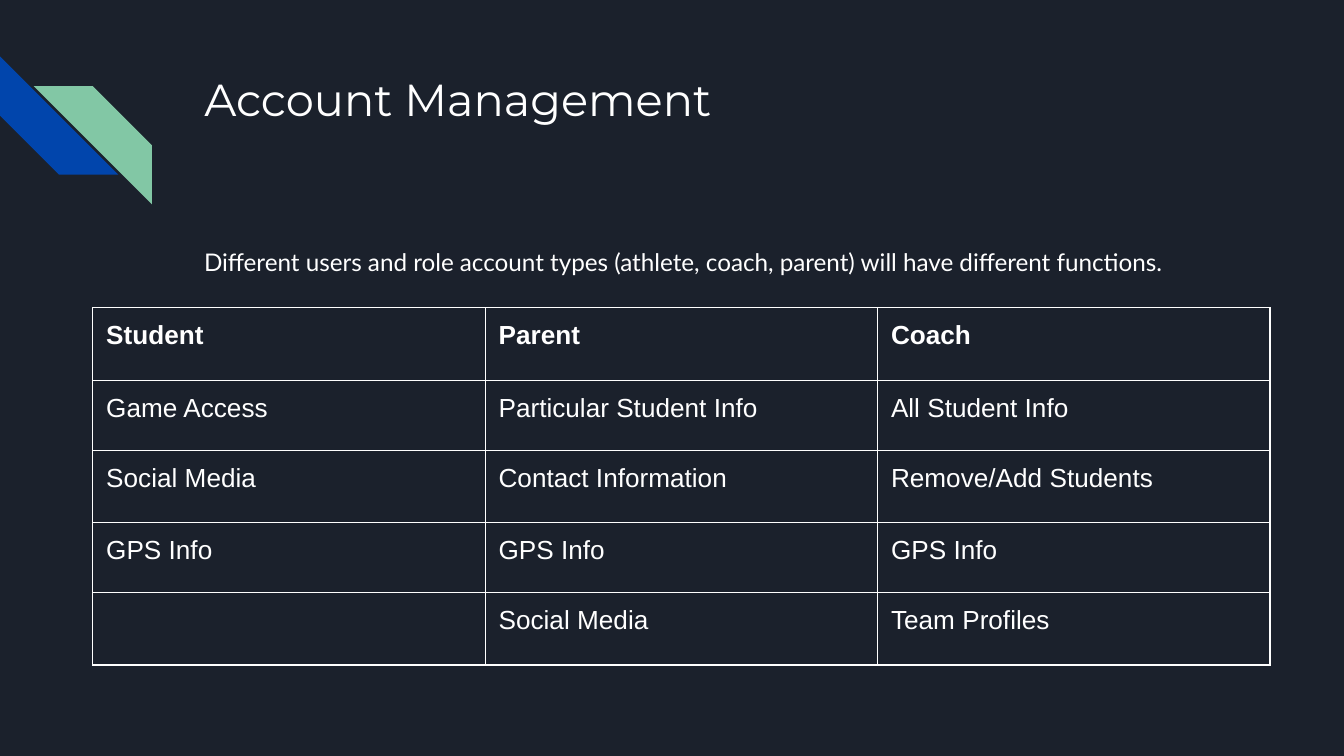
import pptx
import pptx.dml.color
import pptx.enum.shapes
import pptx.enum.text
import pptx.oxml
import pptx.oxml.ns
import pptx.util
from pptx.util import Inches

RGBColor = pptx.dml.color.RGBColor
NAVY = RGBColor(0x1B, 0x21, 0x2C)
BLUE = RGBColor(0x01, 0x45, 0xAC)
GREEN = RGBColor(0x82, 0xC7, 0xA5)
WHITE = RGBColor(0xFF, 0xFF, 0xFF)

ROLES = [
    ["Student", "Parent", "Coach"],
    ["Game Access", "Particular Student Info", "All Student Info"],
    ["Social Media", "Contact Information", "Remove/Add Students"],
    ["GPS Info", "GPS Info", "GPS Info"],
    ["", "Social Media", "Team Profiles"],
]
ROW_HEIGHTS = [0.54, 0.52, 0.54, 0.52, 0.54]


def write_text(tf, text, font="Arial", size=14, bold=False, color=WHITE,
               line_spacing=None, space_after=0):
    """Fill a text frame with one formatted, left-aligned paragraph."""
    tf.word_wrap = True
    tf.vertical_anchor = pptx.enum.text.MSO_ANCHOR.TOP
    tf.margin_left = tf.margin_right = Inches(0.1)
    tf.margin_top = tf.margin_bottom = Inches(0.1)
    p = tf.paragraphs[0]
    p.alignment = pptx.enum.text.PP_ALIGN.LEFT
    p.line_spacing = line_spacing
    p.space_after = pptx.util.Pt(space_after)
    r = p.add_run()
    r.text = text
    r.font.name = font
    r.font.size = pptx.util.Pt(size)
    r.font.bold = bold
    r.font.color.rgb = color


def add_stripes(s, x, y, side):
    """Two interlocking diagonal stripes, the second offset from the first."""
    for dx, dy, rotation, color in [(0, 0, 270, BLUE), (0.25, 0.22, 90, GREEN)]:
        sp = s.shapes.add_shape(
            pptx.enum.shapes.MSO_SHAPE.DIAGONAL_STRIPE,
            Inches(x + dx), Inches(y + dy), Inches(side), Inches(side))
        sp.rotation = rotation
        sp.adjustments[0] = 0.5
        sp.shadow.inherit = False
        sp.fill.solid()
        sp.fill.fore_color.rgb = color
        sp.line.fill.background()


def add_heading(s, x, y, w):
    """Title with the introductory sentence below it."""
    title = s.shapes.title
    title.left, title.top = Inches(x), Inches(y)
    title.width, title.height = Inches(w), Inches(1)
    title.text_frame.auto_size = pptx.enum.text.MSO_AUTO_SIZE.NONE
    write_text(title.text_frame, "Account Management",
               font="Montserrat", size=24)

    intro = s.shapes.add_textbox(
        Inches(x), Inches(y + 1.28), Inches(w), Inches(0.53))
    write_text(intro.text_frame,
               "Different users and role account types (athlete, coach, parent) "
               "will have different functions.",
               font="Lato", size=13, line_spacing=1.15, space_after=12)


def set_borders(cell, color=WHITE, width=0.75):
    """Draw all four edges; they must precede the cell's fill in the XML."""
    tc_pr = cell._tc.get_or_add_tcPr()
    for i, edge in enumerate(["lnL", "lnR", "lnT", "lnB"]):
        tc_pr.insert(i, pptx.oxml.parse_xml(
            f'<a:{edge} {pptx.oxml.ns.nsdecls("a")} w="{pptx.util.Pt(width)}">'
            f'<a:solidFill><a:srgbClr val="{color}"/></a:solidFill></a:{edge}>'))


def add_role_table(s, x, y, w):
    """Functions available to each role, one column per role."""
    rows, cols = len(ROLES), len(ROLES[0])
    table = s.shapes.add_table(
        rows, cols, Inches(x), Inches(y), Inches(w),
        Inches(sum(ROW_HEIGHTS))).table
    table.first_row = table.horz_banding = False
    for col in table.columns:
        col.width = Inches(w / cols)
    for i, (row, height) in enumerate(zip(ROLES, ROW_HEIGHTS)):
        table.rows[i].height = Inches(height)
        for j, text in enumerate(row):
            cell = table.cell(i, j)
            cell.fill.background()
            set_borders(cell)
            cell.margin_left = cell.margin_right = Inches(0.1)
            cell.margin_top = cell.margin_bottom = Inches(0.1)
            if text:
                write_text(cell.text_frame, text, bold=i == 0)


def main():
    prs = pptx.Presentation()
    # Widescreen 16:9
    prs.slide_width = Inches(10)
    prs.slide_height = prs.slide_width * 9 // 16
    s = prs.slides.add_slide(prs.slide_layouts[5])
    s.background.fill.solid()
    s.background.fill.fore_color.rgb = NAVY

    add_stripes(s, 0, 0.42, 0.88)
    add_heading(s, 1.42, 0.43, 7.7)
    add_role_table(s, 0.69, 2.29, 8.76)
    prs.save("out.pptx")


if __name__ == "__main__":
    main()
